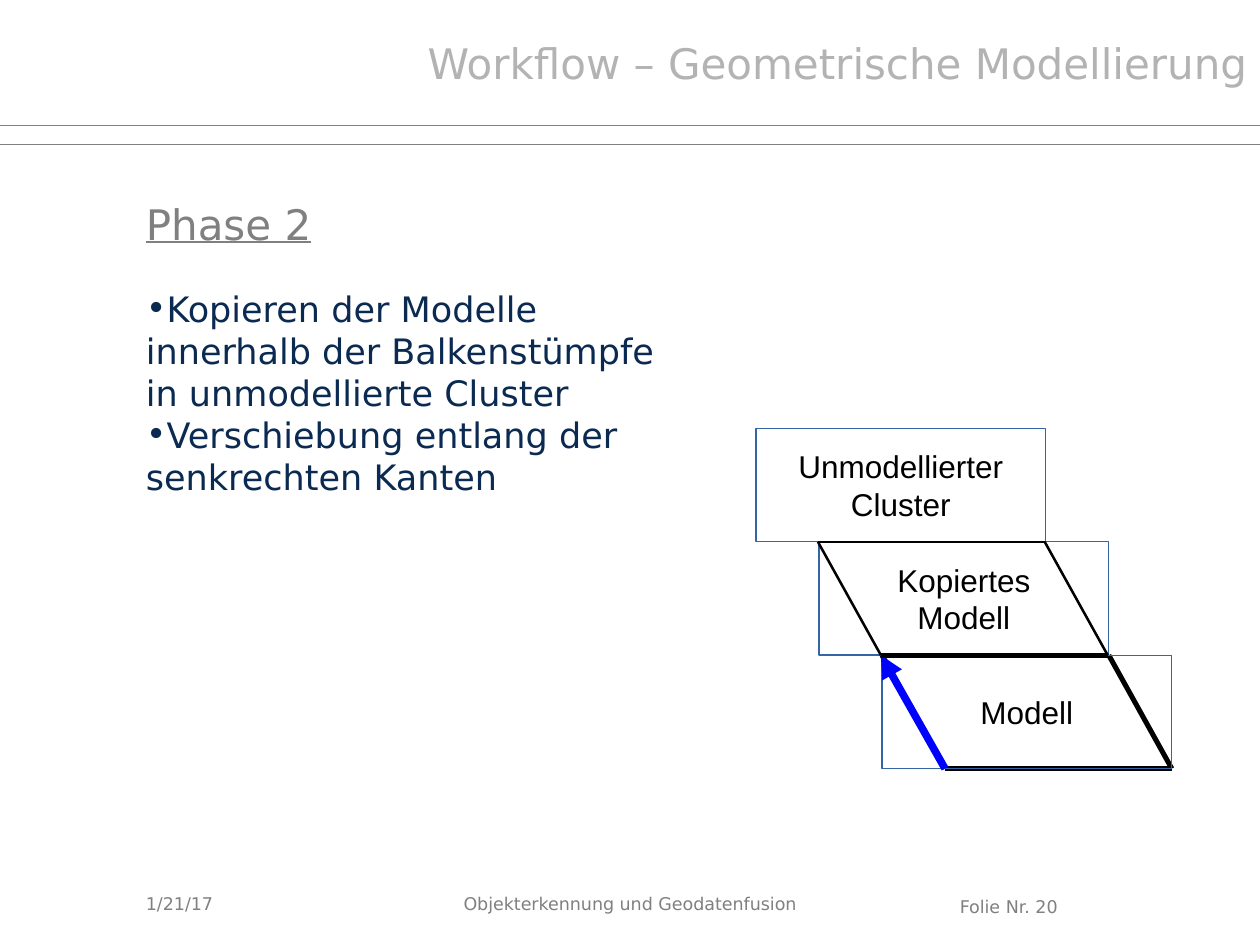
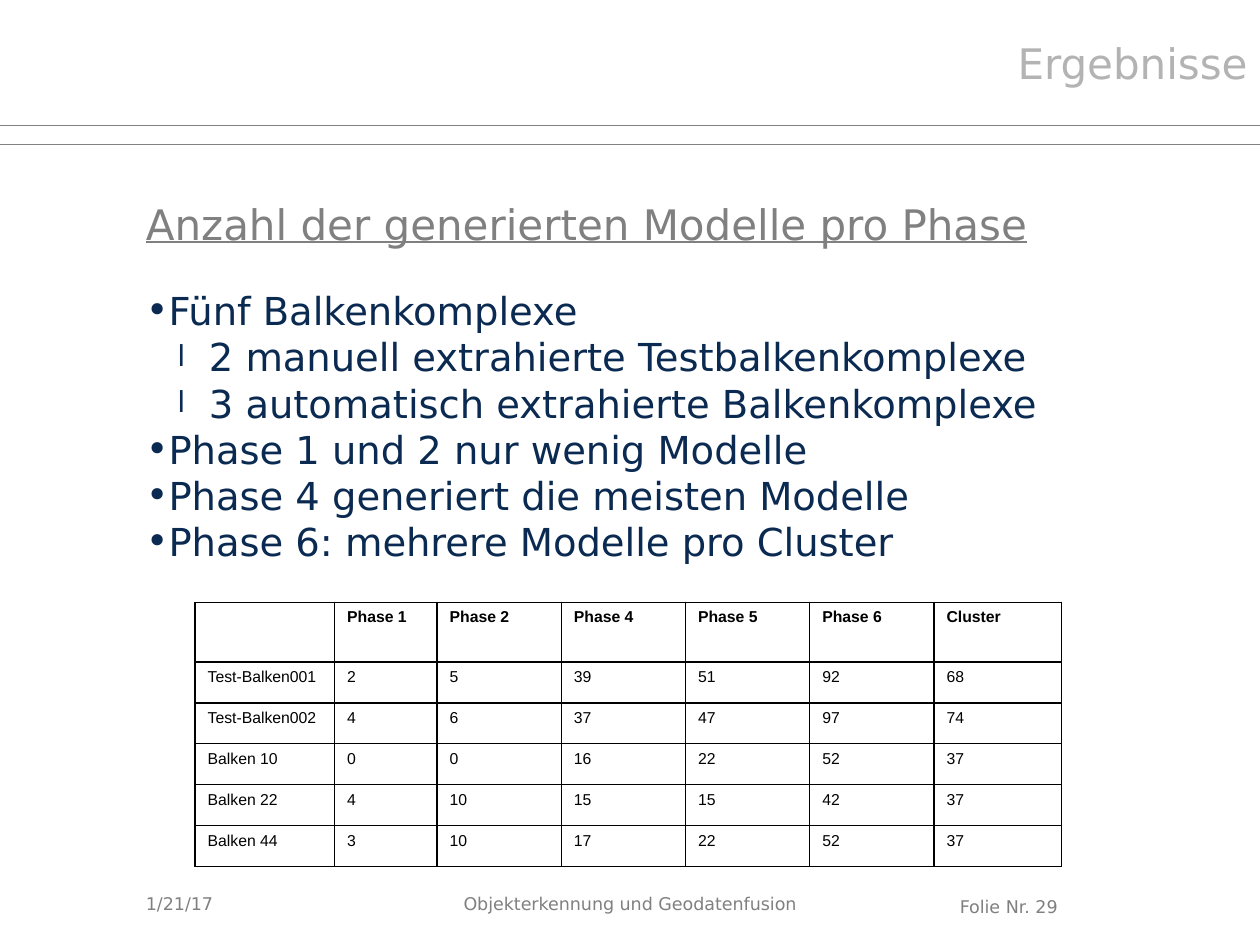
import pptx
import pptx.dml.color
import pptx.enum.shapes
import pptx.enum.text
import pptx.oxml.ns
import pptx.util
import lxml.etree

GREY = pptx.dml.color.RGBColor(0x80, 0x80, 0x80)
LIGHT_GREY = pptx.dml.color.RGBColor(0xB3, 0xB3, 0xB3)
NAVY = pptx.dml.color.RGBColor(0x0B, 0x2A, 0x51)
BLACK = pptx.dml.color.RGBColor(0, 0, 0)
BLUE = pptx.dml.color.RGBColor(0, 0, 0xFF)
BOX_BLUE = pptx.dml.color.RGBColor(0x34, 0x65, 0xA4)

MAIN_FONT = "DejaVu Sans"
FIGURE_FONT = "Arial"
LEFT = 76.3
WIDTH, HEIGHT = 720, 540
BOX_W, BOX_H, STEP = 165.6, 64.8, 36
ALIGN = pptx.enum.text.PP_ALIGN
ANCHOR = pptx.enum.text.MSO_ANCHOR

RESULTS = [
    ["", "Phase 1", "Phase 2", "Phase 4", "Phase 5", "Phase 6", "Cluster"],
    ["Test-Balken001", 2, 5, 39, 51, 92, 68],
    ["Test-Balken002", 4, 6, 37, 47, 97, 74],
    ["Balken 10", 0, 0, 16, 22, 52, 37],
    ["Balken 22", 4, 10, 15, 15, 42, 37],
    ["Balken 44", 3, 10, 17, 22, 52, 37],
]
COLUMN_WIDTHS = [79.7, 58.6, 71, 71, 71, 71, 72.9]
ROW_HEIGHTS = [34] + [23.4] * 5


def points(*values):
    return [pptx.util.Pt(v) for v in values]


def add_element(parent, tag, **attributes):
    return lxml.etree.SubElement(parent, pptx.oxml.ns.qn(tag), attributes)


def add_run(p, text, size, color, font=MAIN_FONT, bold=False, underline=False):
    r = p.add_run()
    r.text = text
    r.font.size = pptx.util.Pt(size)
    r.font.name = font
    r.font.color.rgb = color
    r.font.bold = bold
    r.font.underline = underline


def add_text(slide, box, text, size, color, align=ALIGN.LEFT,
             anchor=ANCHOR.TOP, underline=False):
    tf = slide.shapes.add_textbox(*points(*box)).text_frame
    tf.word_wrap = True
    tf.vertical_anchor = anchor
    p = tf.paragraphs[0]
    p.alignment = align
    add_run(p, text, size, color, underline=underline)


def add_line(slide, start, end, width, color=BLACK, arrow=False):
    line = slide.shapes.add_connector(
        pptx.enum.shapes.MSO_CONNECTOR.STRAIGHT, *points(*start, *end))
    line.line.width = pptx.util.Pt(width)
    line.line.color.rgb = color
    if arrow:
        add_element(line.line._get_or_add_ln(), "a:tailEnd", type="triangle")
    add_element(line._element.spPr, "a:effectLst")


def add_bullets(slide, box, items, size):
    tf = slide.shapes.add_textbox(*points(*box)).text_frame
    tf.word_wrap = True
    tf.margin_top = pptx.util.Pt(24.5)
    for i, (level, text) in enumerate(items):
        p = tf.add_paragraph() if i else tf.paragraphs[0]
        p.level = level
        pPr = p._p.get_or_add_pPr()
        pPr.set("marL", str(pptx.util.Pt(36 * level)))
        pPr.set("indent", str(pptx.util.Pt(-18 * level)))
        if level:
            add_element(pPr, "a:buSzPct", val="75000")
        add_element(pPr, "a:buFont", typeface=MAIN_FONT)
        add_element(pPr, "a:buChar", char="l" if level else "•")
        add_run(p, text, size, NAVY)


def add_cluster_box(slide, left, top, lines):
    sp = slide.shapes.add_shape(pptx.enum.shapes.MSO_SHAPE.RECTANGLE,
                                *points(left, top, BOX_W, BOX_H))
    sp.shadow.inherit = False
    sp.fill.background()
    sp.line.color.rgb = BOX_BLUE
    sp.line.width = pptx.util.Pt(0.75)
    tf = sp.text_frame
    tf.word_wrap = False
    tf.vertical_anchor = ANCHOR.MIDDLE
    for i, text in enumerate(lines):
        p = tf.add_paragraph() if i else tf.paragraphs[0]
        p.alignment = ALIGN.CENTER
        add_run(p, text, 18, BLACK, FIGURE_FONT)


def parallelogram_corners(left, top):
    edge = BOX_W - STEP
    return ((left, top), (left + edge, top),
            (left + STEP, top + BOX_H), (left + BOX_W, top + BOX_H))


def add_model_figure(slide):
    left, top = 432, 244.8
    a, b, c, d = parallelogram_corners(left + 2 * STEP, top + 2 * BOX_H)
    for start, end in ((a, b), (a, c), (b, d), (c, d)):
        add_line(slide, start, end, 2.89)
    labels = [["Unmodellierter", "Cluster"], ["Kopiertes", "Modell"], ["Modell"]]
    for i in reversed(range(len(labels))):
        add_cluster_box(slide, left + i * STEP, top + i * BOX_H, labels[i])
    e, f, g, h = parallelogram_corners(left + STEP - 0.6, top + BOX_H)
    add_line(slide, c, g, 4.31, BLUE, arrow=True)
    for start, end, width in ((e, f, 1.45), (e, g, 1.45), (f, h, 1.45), (g, h, 2.89)):
        add_line(slide, start, end, width)


def add_cell_borders(cell):
    tcPr = cell._tc.get_or_add_tcPr()
    for side in ("a:lnL", "a:lnR", "a:lnT", "a:lnB"):
        ln = add_element(tcPr, side, w=str(pptx.util.Pt(1)))
        add_element(add_element(ln, "a:solidFill"), "a:srgbClr", val=str(BLACK))


def add_results_table(slide, left, top):
    frame = slide.shapes.add_table(
        len(RESULTS), len(COLUMN_WIDTHS),
        *points(left, top, sum(COLUMN_WIDTHS), sum(ROW_HEIGHTS)))
    table = frame.table
    table.first_row = table.horz_banding = False
    for column, width in zip(table.columns, COLUMN_WIDTHS):
        column.width = pptx.util.Pt(width)
    for i, (row, height) in enumerate(zip(table.rows, ROW_HEIGHTS)):
        row.height = pptx.util.Pt(height)
        for cell, value in zip(row.cells, RESULTS[i]):
            add_cell_borders(cell)
            cell.fill.background()
            if value != "":
                add_run(cell.text_frame.paragraphs[0], str(value), 9, BLACK,
                        FIGURE_FONT, bold=i == 0)


def add_base_slide(prs, number, title, title_left, title_height, heading):
    slide = prs.slides.add_slide(prs.slide_layouts[6])
    for y in (71.5, 82.8):
        add_line(slide, (0, y), (WIDTH, y), 0.5, GREY)
    add_text(slide, (257.8, 506.9, 249, 18.7),
             "Objekterkennung und Geodatenfusion", 10, GREY)
    add_text(slide, (541.4, 508.3, 136, 18.7), f"Folie Nr. {number}", 10, GREY)
    add_text(slide, (LEFT, 82.8, WIDTH - LEFT, 90), heading, 24, GREY,
             anchor=ANCHOR.MIDDLE, underline=True)
    add_text(slide, (LEFT, 501.8, 167.8, 28.8), "1/21/17", 10, GREY,
             anchor=ANCHOR.MIDDLE)
    add_text(slide, (title_left, 18, WIDTH - title_left, title_height),
             title, 24, LIGHT_GREY, align=ALIGN.RIGHT)
    return slide


def main():
    prs = pptx.Presentation()
    prs.slide_width, prs.slide_height = points(WIDTH, HEIGHT)

    slide = add_base_slide(prs, 20, "Workflow – Geometrische Modellierung",
                           230.4, 64.8, "Phase 2")
    add_bullets(slide, (LEFT, 139.7, 319.7, 328.3), [
        (0, "Kopieren der Modelle innerhalb der Balkenstümpfe in unmodellierte Cluster"),
        (0, "Verschiebung entlang der senkrechten Kanten"),
    ], 20)
    add_model_figure(slide)

    slide = add_base_slide(prs, 29, "Ergebnisse", 337.7, 36,
                           "Anzahl der generierten Modelle pro Phase")
    add_bullets(slide, (LEFT, 139.7, 588.2, 213), [
        (0, "Fünf Balkenkomplexe"),
        (1, "2 manuell extrahierte Testbalkenkomplexe"),
        (1, "3 automatisch extrahierte Balkenkomplexe"),
        (0, "Phase 1 und 2 nur wenig Modelle"),
        (0, "Phase 4 generiert die meisten Modelle"),
        (0, "Phase 6: mehrere Modelle pro Cluster"),
    ], 22)
    add_results_table(slide, 111.5, 344.2)

    prs.save("out.pptx")


if __name__ == "__main__":
    main()
